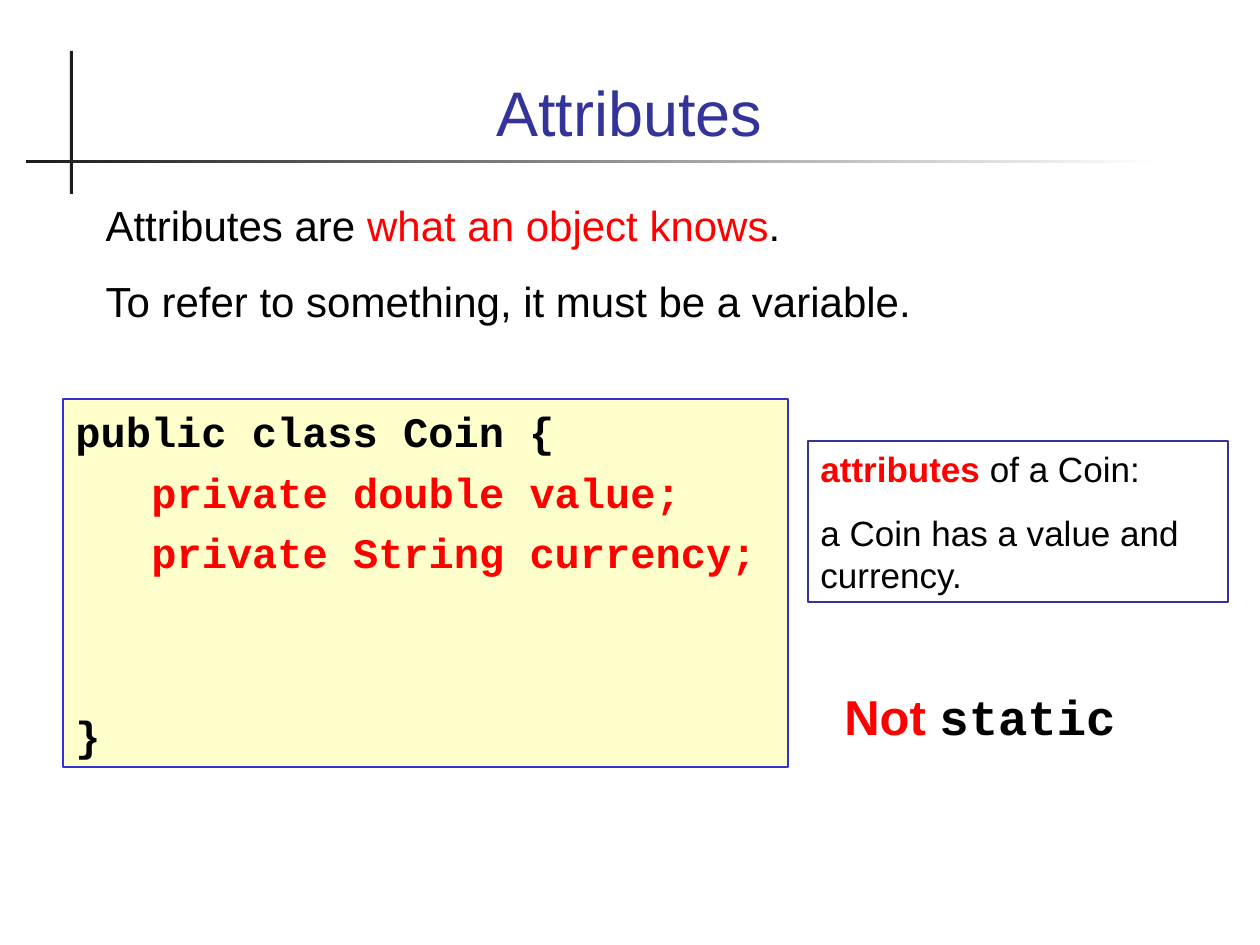
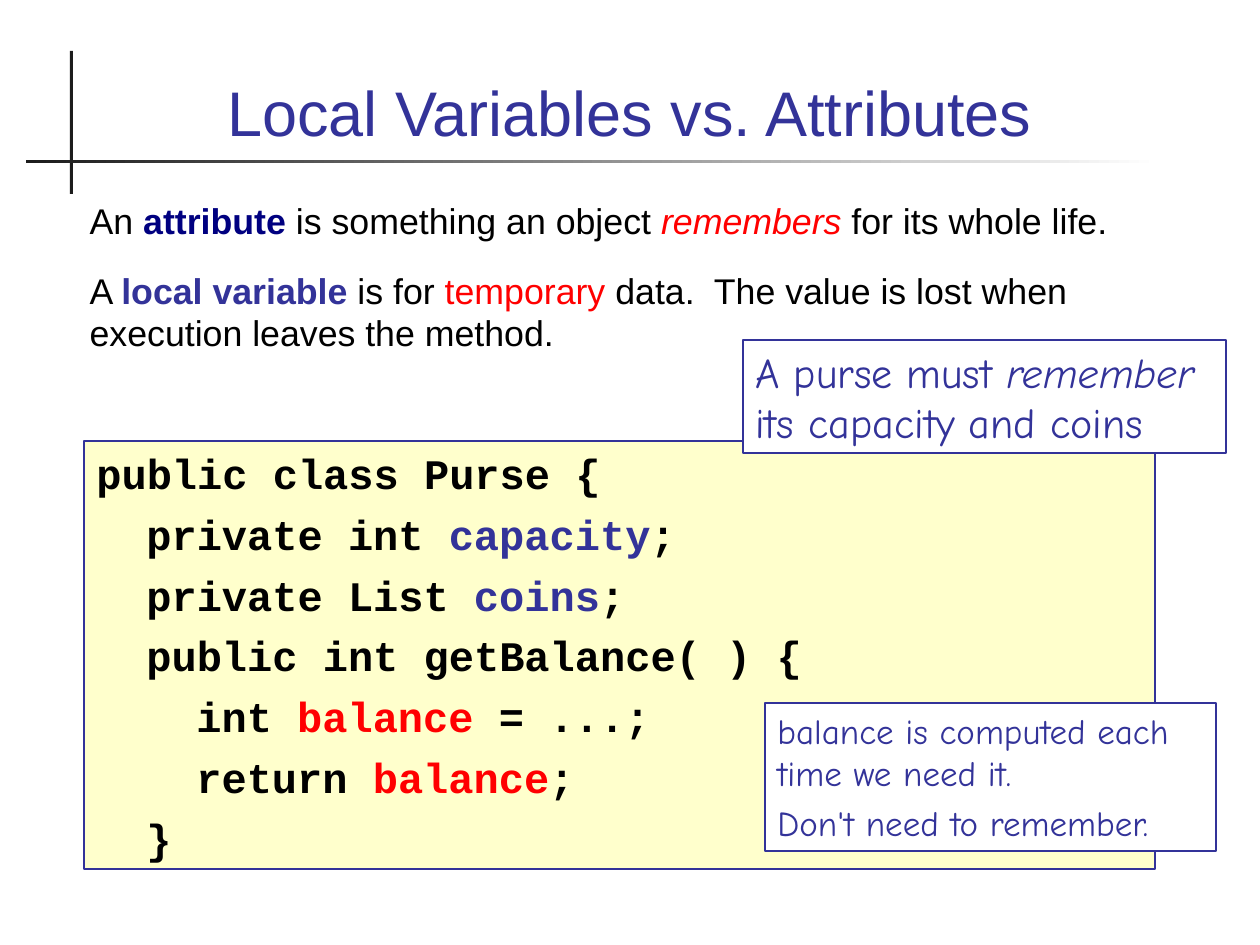
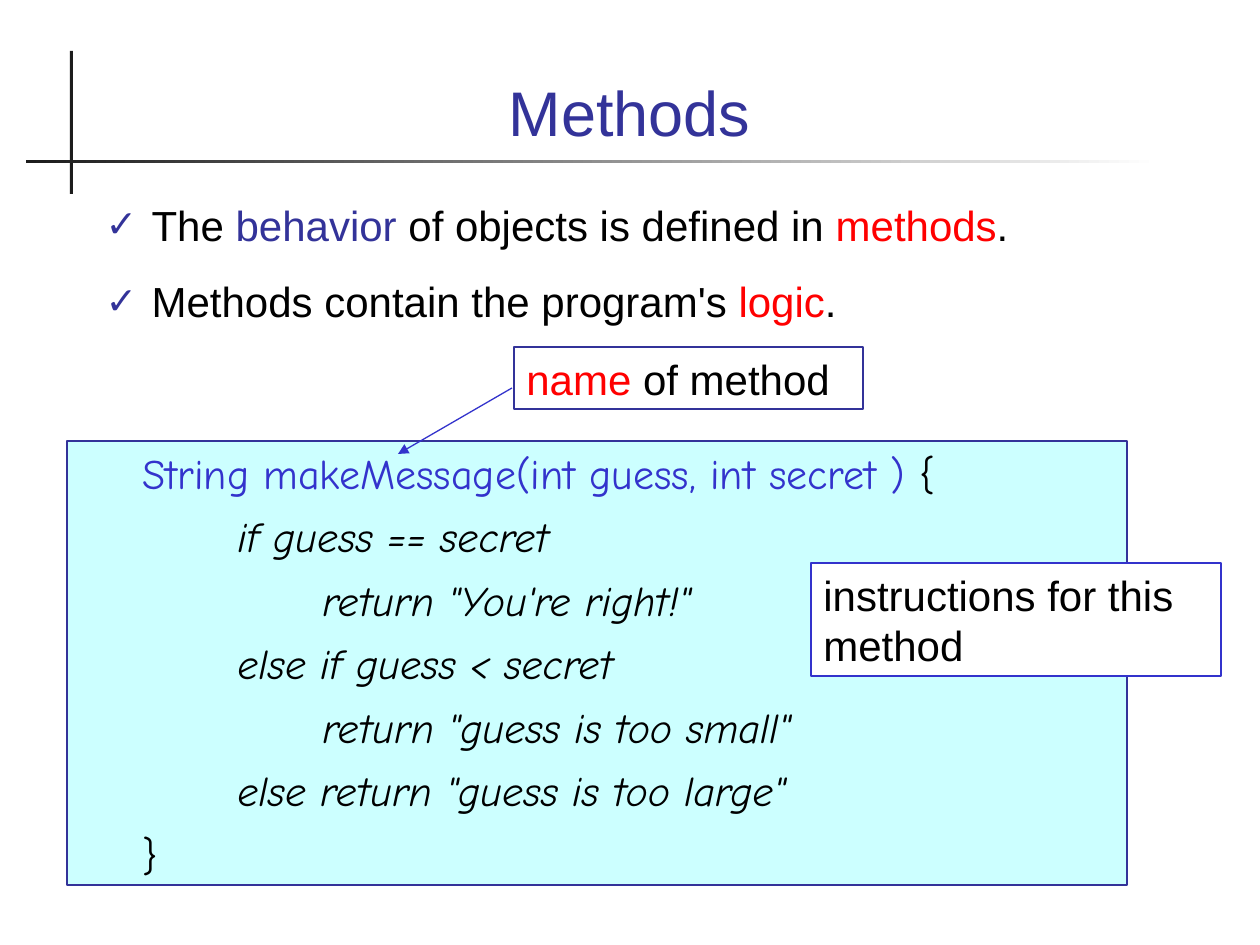
"""Builds three slides on attributes, local variables and methods of objects."""
from pptx import Presentation
from pptx.dml.color import RGBColor
from pptx.enum.shapes import MSO_CONNECTOR as CONNECTOR, MSO_SHAPE as SHAPE
from pptx.enum.text import MSO_ANCHOR as ANCHOR, MSO_AUTO_SIZE as AUTO_SIZE, PP_ALIGN as ALIGN
from pptx.oxml.ns import qn
from pptx.util import Pt
from lxml.etree import SubElement

PX = 914400 // 126
WHITE = RGBColor(0xFF, 0xFF, 0xFF)
BLACK = RGBColor(0, 0, 0)
INK = RGBColor(0x1C, 0x1C, 0x1C)
RED = RGBColor(0xFF, 0, 0)
NAVY = RGBColor(0, 0, 0x80)
INDIGO = RGBColor(0x33, 0x33, 0x99)
BLUE = RGBColor(0x33, 0x33, 0xCC)
YELLOW = RGBColor(0xFF, 0xFF, 0xCC)
CYAN = RGBColor(0xCC, 0xFF, 0xFF)
SANS, HAND, CODE = "Arial", "Comic Neue", "Courier New"


def add_text(tf, *runs, font=SANS, size=24, color=BLACK, bold=False, italic=False,
             before=0, indent=0, align=ALIGN.LEFT, bullet=None):
    p = tf.add_paragraph() if tf.text else tf.paragraphs[0]
    p.alignment = align
    p.line_spacing = Pt(size * 1.2)
    p.space_before = Pt(before if tf.text else 0)
    pPr = p._p.get_or_add_pPr()
    pPr.set("marL", str(indent * PX))
    pPr.set("indent", str(-indent * PX if bullet else 0))
    if bullet:
        clr = SubElement(pPr, qn("a:buClr"))
        SubElement(clr, qn("a:srgbClr")).set("val", str(INDIGO))
        SubElement(pPr, qn("a:buSzPct")).set("val", "90000")
        SubElement(pPr, qn("a:buChar")).set("char", bullet)
    else:
        SubElement(pPr, qn("a:buNone"))
    for run in runs:
        text, own = (run, {}) if isinstance(run, str) else run
        r = p.add_run()
        r.text = text
        r.font.name = own.get("font", font)
        r.font.size = Pt(size)
        r.font.color.rgb = own.get("color", color)
        r.font.bold = own.get("bold", bold)
        r.font.italic = own.get("italic", italic)


def add_box(s, left, top, width, height, fill=WHITE, line=INDIGO):
    sp = s.shapes.add_shape(SHAPE.RECTANGLE, left * PX, top * PX, width * PX, height * PX)
    sp.shadow.inherit = False
    if fill is None:
        sp.fill.background()
    else:
        sp.fill.solid()
        sp.fill.fore_color.rgb = fill
    if line is None:
        sp.line.fill.background()
    else:
        sp.line.color.rgb = line
        sp.line.width = Pt(0.75)
    sp.text_frame.word_wrap = True
    sp.text_frame.vertical_anchor = ANCHOR.TOP
    return sp


red, indigo = {"color": RED}, {"color": INDIGO}

prs = Presentation()
prs.slide_width, prs.slide_height = 1260 * PX, 945 * PX
layout = prs.slide_layouts[1]

slides, bodies = [], []
for title, (left, top, width, height) in [
    ("Attributes", (93, 193, 1091, 185)),
    ("Local Variables vs. Attributes", (77, 193, 1105, 197)),
    ("Methods", (93, 193, 1091, 144)),
]:
    s = prs.slides.add_slide(layout)
    head, body = s.shapes.title, s.placeholders[1]
    head.left, head.top, head.width, head.height = 84 * PX, 35 * PX, 1091 * PX, 120 * PX
    body.left, body.top, body.width, body.height = left * PX, top * PX, width * PX, height * PX
    for sp in (head, body):
        sp.text_frame.auto_size = AUTO_SIZE.NONE
    head.text_frame.vertical_anchor = ANCHOR.BOTTOM
    add_text(head.text_frame, title, size=36, color=INDIGO, align=ALIGN.CENTER)
    slides.append(s)
    bodies.append(body.text_frame)

upright = add_box(slides[0], 70, 51, 3, 143, fill=INK, line=None)
rule = add_box(slides[0], 26, 160, 1133, 3, line=None)
rule.fill.gradient()
rule.fill.gradient_angle = 0
for stop, color, position in zip(rule.fill.gradient_stops, (INK, WHITE), (0, 1)):
    stop.color.rgb = color
    stop.position = position
for sp in (upright, rule):
    layout.shapes._spTree.append(sp._element)

s, tf = slides[0], bodies[0]
add_text(tf, "Attributes are ", ("what an object knows", red), ".")
add_text(tf, "To refer to something, it must be a variable.", before=15)

tf = add_box(s, 808, 441, 420, 161).text_frame
add_text(tf, ("attributes", {"color": RED, "bold": True}), " of a Coin:", size=20)
add_text(tf, "a Coin has a value and currency.", size=20, before=12.5)

tf = add_box(s, 63, 399, 725, 368, fill=YELLOW, line=BLUE).text_frame
for text, color, indent, before in [
    ("public class Coin {", BLACK, 0, 0),
    ("private double value;", RED, 76, 6),
    ("private String currency;", RED, 76, 6),
    ("}", BLACK, 0, 75.6),
]:
    add_text(tf, text, font=CODE, bold=True, color=color, indent=indent, before=before)

tf = s.shapes.add_textbox(832 * PX, 680 * PX, 391 * PX, 72 * PX).text_frame
tf.word_wrap = True
add_text(tf, ("Not ", red), ("static", {"font": CODE}), size=28, bold=True)

s, tf = slides[1], bodies[1]
add_text(tf, "An ", ("attribute", {"color": NAVY, "bold": True}), " is something an object ",
         ("remembers", {"color": RED, "italic": True}), " for its whole life.", size=20.4)
add_text(tf, "A ", ("local variable", {"color": INDIGO, "bold": True}), " is for ",
         ("temporary", red), " data.  The value is lost when execution leaves the method.",
         size=20.4, before=15)

tf = add_box(s, 84, 441, 1071, 428, fill=YELLOW).text_frame
for level, runs in [
    (0, ["public class Purse {"]),
    (1, ["private int ", ("capacity", indigo), ";"]),
    (1, ["private List ", ("coins", indigo), ";"]),
    (1, ["public int getBalance( ) {"]),
    (2, ["int ", ("balance", red), " = ...;"]),
    (2, ["return ", ("balance", red), ";"]),
    (1, ["}"]),
]:
    add_text(tf, *runs, font=CODE, bold=True, indent=50 * level, before=6)

tf = add_box(s, 743, 340, 483, 113).text_frame
add_text(tf, "A purse must ", ("remember", {"italic": True}), " its capacity and coins",
         font=HAND, color=INDIGO)

tf = add_box(s, 765, 703, 451, 148).text_frame
for text in ("balance is computed each time we need it.", "Don't need to remember."):
    add_text(tf, text, font=HAND, size=20, color=INDIGO, before=5)

s, tf = slides[2], bodies[2]
for runs in [
    ["The ", ("behavior", indigo), " of objects is defined in ", ("methods", red), "."],
    ["Methods contain the program's ", ("logic", red), "."],
]:
    add_text(tf, *runs, before=15, indent=46, bullet="✓")

tf = add_box(s, 67, 441, 1060, 444, fill=CYAN).text_frame
for indent, italic, runs in [
    (63, False, [("String makeMessage(int guess, int secret )", {"color": BLUE}), " {"]),
    (158, True, ["if guess == secret"]),
    (243, True, ["return \"You're right!\""]),
    (158, True, ["else if guess < secret"]),
    (243, True, ["return \"guess is too small\""]),
    (158, True, ["else return \"guess is too large\""]),
    (63, False, ["}"]),
]:
    add_text(tf, *runs, font=HAND, italic=italic, indent=indent, before=7.5)

tf = add_box(s, 514, 347, 349, 62, fill=None).text_frame
add_text(tf, ("name", red), " of method")

arrow = s.shapes.add_connector(CONNECTOR.STRAIGHT, 512 * PX, 388 * PX, 398 * PX, 454 * PX)
arrow.line.color.rgb = BLUE
arrow.line.width = Pt(0.75)
SubElement(arrow.line._get_or_add_ln(), qn("a:tailEnd")).set("type", "triangle")
SubElement(arrow._element.spPr, qn("a:effectLst"))

tf = add_box(s, 811, 563, 410, 113, line=BLUE).text_frame
add_text(tf, "instructions for this method")

prs.save("out.pptx")
